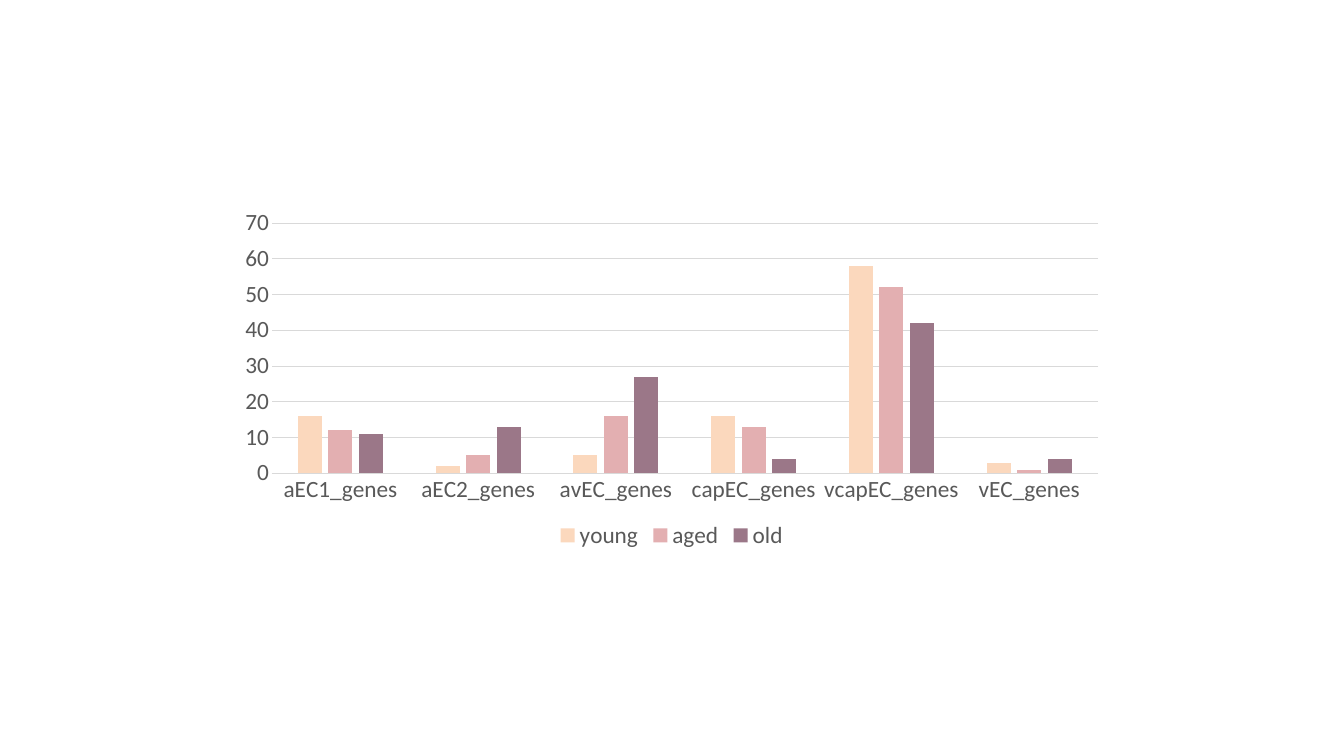
from dataclasses import dataclass

from pptx import Presentation
from pptx.chart.data import CategoryChartData
from pptx.dml.color import RGBColor
from pptx.enum.chart import XL_CHART_TYPE, XL_LEGEND_POSITION, XL_TICK_MARK
from pptx.util import Inches, Pt


@dataclass(frozen=True)
class Theme:
    font: str = "Calibri"
    size: int = 24
    text: str = "595959"
    rule: str = "D9D9D9"
    back: str = "FFFFFF"
    young: str = "FBD8BD"
    aged: str = "E3AFB1"
    old: str = "9B7788"


theme = Theme()


def paint(fill, color):
    fill.solid()
    fill.fore_color.rgb = RGBColor.from_string(color)


def rule(line):
    line.width = Pt(0.75)
    paint(line.fill, theme.rule)


# Slide
deck = Presentation()
deck.slide_width, deck.slide_height = Inches(19.26), Inches(10.83)
slide = deck.slides.add_slide(deck.slide_layouts[6])
paint(slide.background.fill, theme.back)

# Gene shares by age group
genes = ["aEC1", "aEC2", "avEC", "capEC", "vcapEC", "vEC"]
ages = [
    ("young", [16, 2, 5, 16, 58, 3], theme.young),
    ("aged", [12, 5, 16, 13, 52, 1], theme.aged),
    ("old", [11, 13, 27, 4, 42, 4], theme.old),
]
data = CategoryChartData()
data.categories = [f"{gene}_genes" for gene in genes]
for name, shares, color in ages:
    data.add_series(name, shares)

# Chart
chart = slide.shapes.add_chart(
    XL_CHART_TYPE.COLUMN_CLUSTERED,
    Inches(3.26), Inches(2.89), Inches(12.73), Inches(5.05), data,
).chart
chart.has_title = False
chart.font.name = theme.font
chart.font.size = Pt(theme.size)
paint(chart.font.fill, theme.text)

# Columns
plot = chart.plots[0]
plot.gap_width = 219
plot.overlap = -27
plot.vary_by_categories = False
for bars, (name, shares, color) in zip(plot.series, ages):
    paint(bars.format.fill, color)

# Axes
for axis in (chart.category_axis, chart.value_axis):
    axis.major_tick_mark = XL_TICK_MARK.NONE
    axis.minor_tick_mark = XL_TICK_MARK.NONE
rule(chart.category_axis.format.line)
scale = chart.value_axis
scale.minimum_scale, scale.maximum_scale, scale.major_unit = 0, 70, 10
scale.format.line.fill.background()
rule(scale.major_gridlines.format.line)

# Legend
chart.has_legend = True
chart.legend.position = XL_LEGEND_POSITION.BOTTOM
chart.legend.include_in_layout = False

deck.save("out.pptx")
